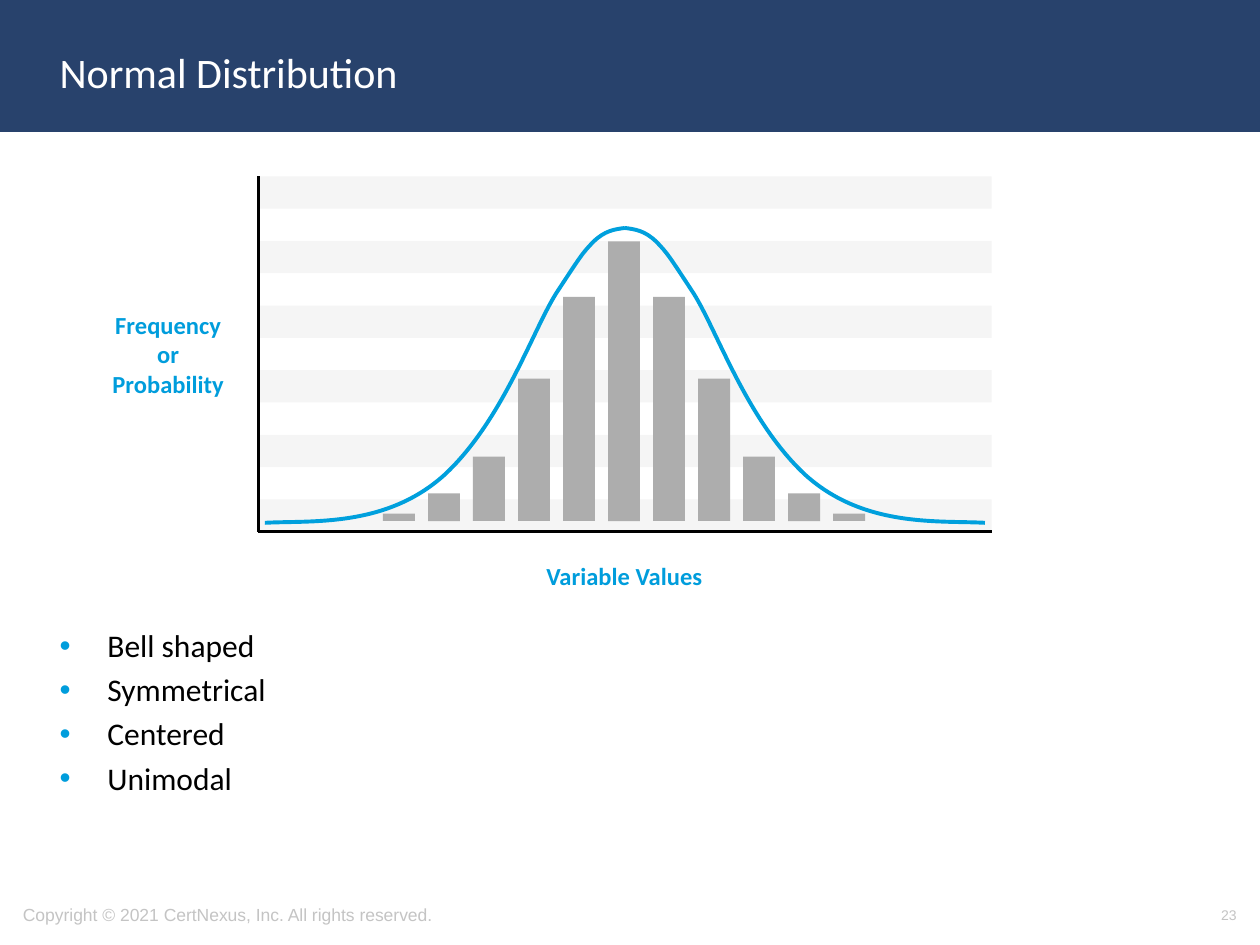
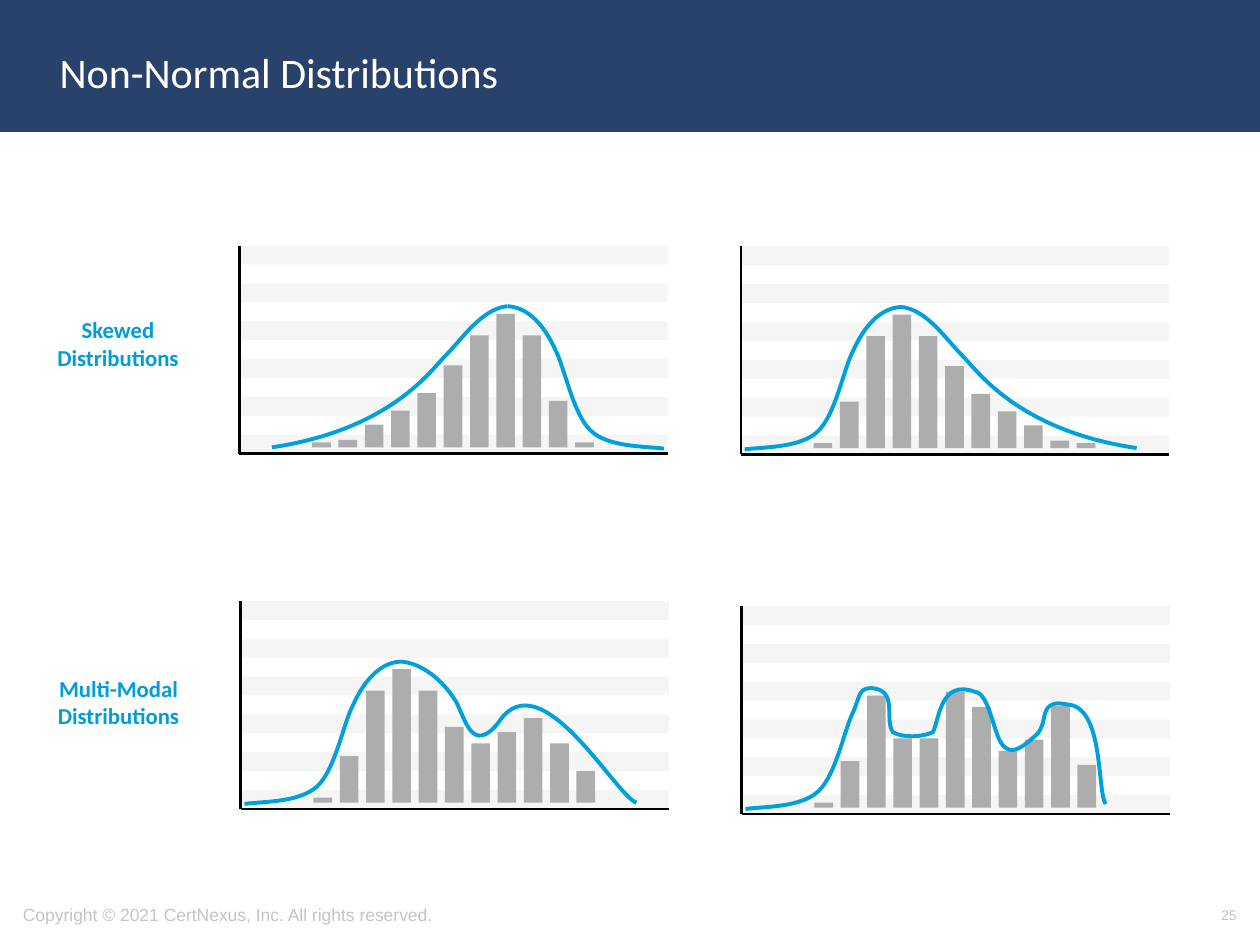
"""Builds two slides that compare normal and non-normal distributions."""
from dataclasses import dataclass

import pptx
import pptx.dml.color
import pptx.enum.shapes
import pptx.enum.text
import pptx.oxml.ns
import pptx.shapes.autoshape
import pptx.slide
import pptx.util
from lxml import etree

SLIDE_WIDTH = pptx.util.Inches(10)
SLIDE_HEIGHT = pptx.util.Inches(7.5)
COLUMN = SLIDE_WIDTH / 100
ROW = SLIDE_HEIGHT / 75

COLORS = {
    "band": "28426C",
    "title": "FFFFFF",
    "backdrop": "FFFFFF",
    "footer": "C4C4C4",
    "body": "000000",
    "accent": "009DDC",
    "curve": "00A0DD",
    "bar": "ADADAD",
    "axis": "000000",
    "stripe": "000000",
}
STRIPE_OPACITY = 4
STRIPE_BANDS = 11
FIRST_BAR, BAR_STEP, BAR_WIDTH, BAR_BASE = 17, 6.14, 4.35, 3

ALIGN = pptx.enum.text.PP_ALIGN
ANCHOR = pptx.enum.text.MSO_ANCHOR
RECTANGLE = pptx.enum.shapes.MSO_SHAPE.RECTANGLE
STRAIGHT = pptx.enum.shapes.MSO_CONNECTOR.STRAIGHT
tag = pptx.oxml.ns.qn

Points = tuple[tuple[float, float], ...]


@dataclass(frozen=True)
class Area:
    left: float
    top: float
    width: float
    height: float


@dataclass(frozen=True)
class TextStyle:
    color: str
    size: float
    font: str = "Calibri"
    bold: bool = False
    align: ALIGN = ALIGN.LEFT
    anchor: ANCHOR = ANCHOR.TOP
    bullet: str = ""
    top_rows: float = 0.5


@dataclass(frozen=True)
class Label:
    text: str
    area: Area
    style: TextStyle


@dataclass(frozen=True)
class Distribution:
    bars: tuple[float, ...]
    strokes: tuple[Points, ...]


@dataclass(frozen=True)
class Panel:
    area: Area
    distribution: Distribution
    backdrop: bool = True


@dataclass(frozen=True)
class Page:
    title: str
    number: str
    panels: tuple[Panel, ...]
    labels: tuple[Label, ...]


TITLE = TextStyle("title", 24, anchor=ANCHOR.MIDDLE)
COPYRIGHT = TextStyle("footer", 10, "Arial", anchor=ANCHOR.MIDDLE)
NUMBER = TextStyle("footer", 8, "Arial", align=ALIGN.RIGHT, anchor=ANCHOR.MIDDLE)
BULLETS = TextStyle("body", 18, bullet="•", top_rows=35.5)
AXIS_NAME = TextStyle("accent", 14, bold=True, align=ALIGN.CENTER)
ROW_NAME = TextStyle("accent", 13, bold=True, align=ALIGN.CENTER)


def mirrored(points: Points) -> Points:
    return tuple((100 - across, up) for across, up in points)


NORMAL_HALF = (
    (0.9, 2.5), (7.2, 3.2), (17.4, 1.1), (25.4, 16), (33.3, 31.2), (37.3, 56), (40.6, 67),
    (44, 77.7), (44.2, 78.4), (45.7, 81.6), (47.3, 84.8), (48.6, 85.1), (50, 85.5),
)
RISE = (
    (0.9, 2.4), (5.3, 3.6), (13.8, 3), (17.9, 10.9), (22.1, 18.8), (24.1, 41.8), (26.2, 49.7),
)
HIGH_PEAK = RISE + ((27.9, 57.6), (31.5, 70.3), (37.4, 70.9))
LOW_PEAK = RISE + ((27.6, 57), (27.4, 60), (30, 60.6))
LONG_TAIL = (
    (92.4, 3), (64.7, 11.5), (55.3, 40), (51.8, 47.3), (48.2, 54.5), (43.5, 69.7), (37.4, 70.9),
)
SECOND_HUMP = (
    (92.4, 3), (87.6, 6.1), (70, 72.1), (60.3, 41.8), (54.1, 25.5), (52.4, 43.6),
    (50.3, 51.5), (48.2, 58.8), (43.5, 69.7), (37.4, 70.9),
)
TWO_MORE_HUMPS = (
    (85, 4.8), (82.9, 10.9), (84.7, 52.1), (75.9, 52.7), (70.6, 55.2), (70.9, 47.9),
    (70.3, 43.6), (69.7, 40), (69.4, 38.8), (68.2, 37), (65.6, 32.1), (62.9, 27.9),
    (60.9, 33.3), (58.8, 38.2), (57.9, 58.2), (54.4, 58.8), (46.5, 64.8), (46.2, 46.1),
    (44.7, 39.4), (42.4, 37), (37.6, 36.4), (35.3, 39.4), (33.2, 46.1), (36.8, 60), (30, 60.6),
)

NORMAL = Distribution(
    (2.1, 7.8, 18.1, 40.1, 63.1, 78.7, 63.1, 40.1, 18.1, 7.8, 2.1),
    (NORMAL_HALF, mirrored(NORMAL_HALF)),
)
RIGHT_SKEWED = Distribution(
    (2.4, 22.4, 53.9, 64.2, 53.9, 39.4, 26.1, 17.6, 10.9, 3.6, 2.4), (HIGH_PEAK, LONG_TAIL)
)
LEFT_SKEWED = Distribution(
    RIGHT_SKEWED.bars[::-1], tuple(mirrored(stroke) for stroke in RIGHT_SKEWED.strokes)
)
TWO_MODES = Distribution(
    (2.4, 22.4, 53.9, 64.2, 53.9, 36.4, 28.5, 33.9, 40.6, 28.5, 15.2), (HIGH_PEAK, SECOND_HUMP)
)
THREE_MODES = Distribution(
    (2.4, 22.4, 53.9, 33.3, 33.3, 55.8, 48.5, 27.3, 32.7, 49.1, 20.6), (LOW_PEAK, TWO_MORE_HUMPS)
)

PAGES = (
    Page(
        "Normal Distribution",
        "23",
        (Panel(Area(20.5, 14, 58.2, 28.2), NORMAL),),
        (
            Label("Frequency or Probability", Area(7.5, 24.1, 11.7, 8.1), AXIS_NAME),
            Label("Variable Values", Area(40.5, 44, 18.1, 3.4), AXIS_NAME),
            Label(
                "Bell shaped\nSymmetrical\nCentered\nUnimodal", Area(3.74, 14.2, 92.5, 53.8), BULLETS
            ),
        ),
    ),
    Page(
        "Non-Normal Distributions",
        "25",
        (
            Panel(Area(58.8, 19.56, 34, 16.5), RIGHT_SKEWED),
            Panel(Area(19, 19.5, 34, 16.5), LEFT_SKEWED),
            Panel(Area(19.1, 47.7, 34, 16.5), TWO_MODES, backdrop=False),
            Panel(Area(58.86, 48.1, 34, 16.5), THREE_MODES, backdrop=False),
        ),
        (
            Label("Skewed Distributions", Area(1.96, 24.6, 14.8, 5.4), ROW_NAME),
            Label("Multi-Modal Distributions", Area(0.5, 53.04, 17.8, 5.4), ROW_NAME),
        ),
    ),
)


def rgb(name: str) -> pptx.dml.color.RGBColor:
    return pptx.dml.color.RGBColor.from_string(COLORS[name])


def emu(area: Area) -> tuple[int, int, int, int]:
    lengths = (area.left * COLUMN, area.top * ROW, area.width * COLUMN, area.height * ROW)
    return tuple(round(length) for length in lengths)


def set_all(target: object, values: dict) -> None:
    for name, value in values.items():
        setattr(target, name, value)


def set_line(line, color: str, width: float) -> None:
    line.color.rgb = rgb(color)
    line.width = pptx.util.Pt(width)


def add_block(
    page: pptx.slide.Slide, area: Area, color: str, opacity: int = 100
) -> pptx.shapes.autoshape.Shape:
    block = page.shapes.add_shape(RECTANGLE, *emu(area))
    block.shadow.inherit = False
    block.fill.solid()
    block.fill.fore_color.rgb = rgb(color)
    block.line.fill.background()
    if opacity < 100:
        shade = block._element.spPr.find(f"{tag('a:solidFill')}/{tag('a:srgbClr')}")
        etree.SubElement(shade, tag("a:alpha"), val=str(opacity * 1000))
    return block


def add_bullet(para, mark: str) -> None:
    properties = para._p.get_or_add_pPr()
    indent = pptx.util.Inches(0.38)
    properties.set("marL", str(indent))
    properties.set("indent", str(-indent))
    color = etree.SubElement(properties, tag("a:buClr"))
    etree.SubElement(color, tag("a:srgbClr"), val=COLORS["accent"])
    etree.SubElement(properties, tag("a:buFont"), typeface="Arial")
    etree.SubElement(properties, tag("a:buChar"), char=mark)


def add_label(page: pptx.slide.Slide, label: Label) -> None:
    style = label.style
    frame = page.shapes.add_textbox(*emu(label.area)).text_frame
    margin = round(style.top_rows * ROW)
    set_all(frame, {"word_wrap": True, "vertical_anchor": style.anchor, "margin_top": margin})
    size = pptx.util.Pt(style.size)
    for index, text in enumerate(label.text.split("\n")):
        para = frame.add_paragraph() if index else frame.paragraphs[0]
        para.alignment = style.align
        if index:
            para.space_before = pptx.util.Pt(style.size * 0.2)
        if style.bullet:
            add_bullet(para, style.bullet)
        span = para.add_run()
        span.text = text
        set_all(span.font, {"name": style.font, "size": size, "bold": style.bold})
        span.font.color.rgb = rgb(style.color)


def add_axis(page: pptx.slide.Slide, start: tuple[int, int], end: tuple[int, int]) -> None:
    axis = page.shapes.add_connector(STRAIGHT, *start, *end)
    set_line(axis.line, "axis", 1.5)
    etree.SubElement(axis._element.spPr, tag("a:effectLst"))


def add_curve(page: pptx.slide.Slide, area: Area, points: Points) -> None:
    left, top, width, height = emu(area)
    spots = [
        (round(left + width * across / 100), round(top + height * (1 - up / 100)))
        for across, up in points
    ]
    builder = page.shapes.build_freeform(*spots[0])
    builder.add_line_segments(spots[1:], close=False)
    curve = builder.convert_to_shape()
    segments = list(curve._element.iter(tag("a:lnTo")))
    for first in range(0, len(segments), 3):
        bend = etree.Element(tag("a:cubicBezTo"))
        segments[first].addprevious(bend)
        for segment in segments[first:first + 3]:
            bend.append(segment[0])
            segment.getparent().remove(segment)
    curve.shadow.inherit = False
    curve.fill.background()
    set_line(curve.line, "curve", 2.25)


def add_panel(page: pptx.slide.Slide, panel: Panel) -> None:
    area = panel.area
    if panel.backdrop:
        add_block(page, area, "backdrop")
    band = area.height / STRIPE_BANDS
    for index in range(0, STRIPE_BANDS, 2):
        stripe = Area(area.left, area.top + index * band, area.width, band)
        add_block(page, stripe, "stripe", STRIPE_OPACITY)
    left, top, width, height = emu(area)
    corner = (left, top + height)
    add_axis(page, corner, (left, top))
    add_axis(page, corner, (left + width, top + height))
    for index, share in enumerate(panel.distribution.bars):
        bar = Area(
            area.left + area.width * (FIRST_BAR + index * BAR_STEP) / 100,
            area.top + area.height * (100 - BAR_BASE - share) / 100,
            area.width * BAR_WIDTH / 100,
            area.height * share / 100,
        )
        add_block(page, bar, "bar")
    for stroke in panel.distribution.strokes:
        add_curve(page, area, stroke)


def add_page(deck, content: Page) -> None:
    page = deck.slides.add_slide(deck.slide_layouts[6])
    band = add_block(page, Area(0, 0, 100, 10.36), "band")
    set_line(band.line, "band", 2)
    notice = "Copyright © 2021 CertNexus, Inc. All rights reserved."
    frame_labels = (
        Label(notice, Area(0.84, 70.6, 52.7, 4), COPYRIGHT),
        Label(content.number, Area(75.84, 70.6, 23.3, 4), NUMBER),
        Label(content.title, Area(3.74, 1.1, 86.2, 9.2), TITLE),
    )
    for panel in content.panels:
        add_panel(page, panel)
    for label in frame_labels + content.labels:
        add_label(page, label)


def main() -> None:
    deck = pptx.Presentation()
    set_all(deck, {"slide_width": SLIDE_WIDTH, "slide_height": SLIDE_HEIGHT})
    for content in PAGES:
        add_page(deck, content)
    deck.save("out.pptx")


if __name__ == "__main__":
    main()
